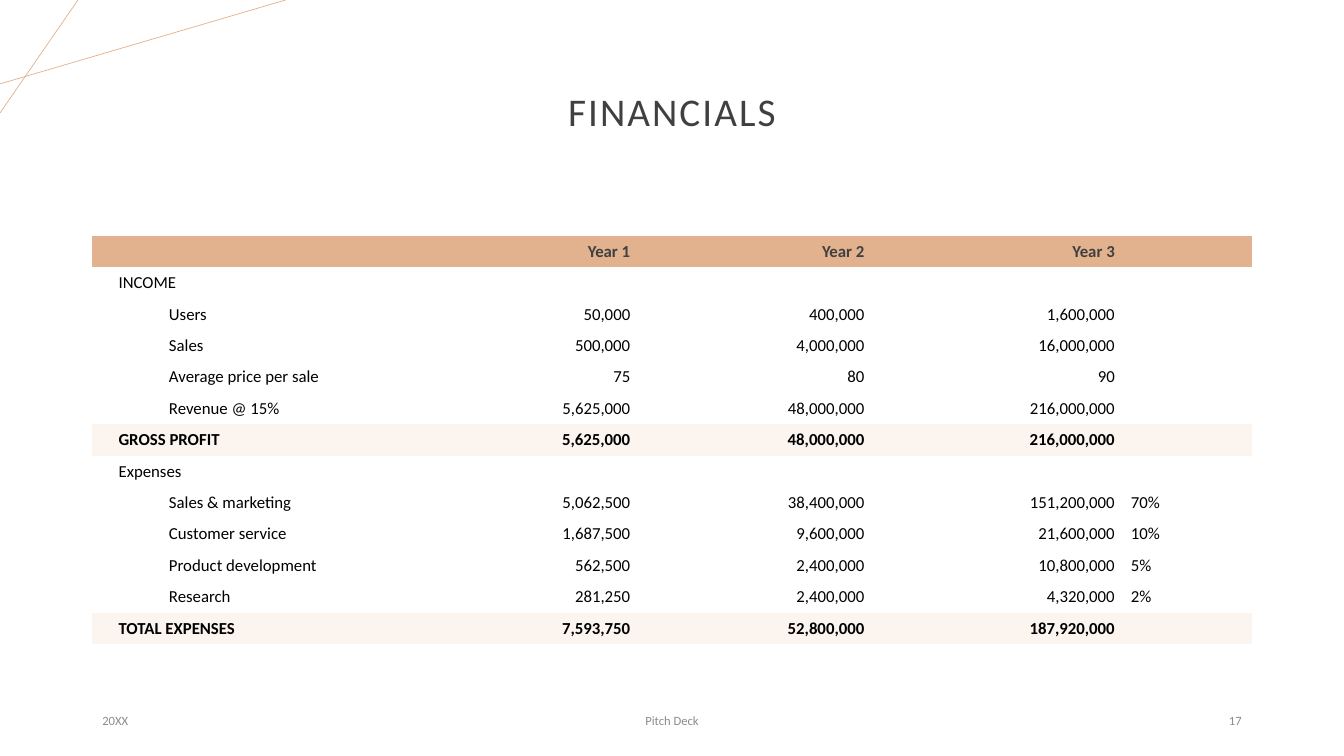
import pptx
import pptx.util
import pptx.dml.color
import pptx.enum.text
import pptx.enum.shapes
import pptx.oxml.ns
import lxml.etree
from dataclasses import dataclass

ALIGN = pptx.enum.text.PP_ALIGN
MIDDLE = pptx.enum.text.MSO_ANCHOR.MIDDLE
WIDTH, HEIGHT = pptx.util.Inches(13.333), pptx.util.Inches(7.5)


@dataclass(frozen=True)
class Theme:
    font: str = "Calibri"
    accent: str = "E2B18D"
    band: str = "FBF4EF"
    heading: str = "404040"
    body: str = "000000"
    muted: str = "8C8C8C"
    title_size: float = 28
    table_size: float = 12
    footer_size: float = 9


THEME = Theme()

# Layout, in percent of the slide's width or height
BODY = 86.25
MARGIN = (100 - BODY) / 2
FOOTER_SIDE, FOOTER_CENTRE = 22.5, 33.75
TABLE_TOP, TABLE_HEIGHT = 31.2, 54
COLUMNS = [30.8, 16.3, 20.2, 21.6, 11.1]  # percent of the table's width

# Row kind, then the cells from the left
ROWS = [
    ("header", "", "Year 1", "Year 2", "Year 3", ""),
    ("section", "INCOME", "", "", "", ""),
    ("item", "Users", "50,000", "400,000", "1,600,000", ""),
    ("item", "Sales", "500,000", "4,000,000", "16,000,000", ""),
    ("item", "Average price per sale", "75", "80", "90", ""),
    ("item", "Revenue @ 15%", "5,625,000", "48,000,000", "216,000,000", ""),
    ("total", "GROSS PROFIT", "5,625,000", "48,000,000", "216,000,000", ""),
    ("section", "Expenses", "", "", "", ""),
    ("item", "Sales & marketing", "5,062,500", "38,400,000", "151,200,000", "70%"),
    ("item", "Customer service", "1,687,500", "9,600,000", "21,600,000", "10%"),
    ("item", "Product development", "562,500", "2,400,000", "10,800,000", "5%"),
    ("item", "Research", "281,250", "2,400,000", "4,320,000", "2%"),
    ("total", "TOTAL EXPENSES", "7,593,750", "52,800,000", "187,920,000", ""),
]
ROW_FILLS = {"header": THEME.accent, "total": THEME.band}
NO_STYLE_NO_GRID = "{2D5ABB26-0587-4C30-8999-92F81FD0307C}"


def across(percent):
    return round(WIDTH * percent / 100)


def down(percent):
    return round(HEIGHT * percent / 100)


def rgb(code):
    return pptx.dml.color.RGBColor.from_string(code)


def apply(target, values):
    for name, value in values.items():
        setattr(target, name, value)


def write(para, text, size, color, align, bold=False, spacing=0):
    para.alignment = align
    if not text:
        # An empty cell keeps the type size, so its row stays low
        end = lxml.etree.SubElement(para._p, pptx.oxml.ns.qn("a:endParaRPr"))
        end.set("sz", str(round(size * 100)))
        return
    span = para.add_run()
    span.text = text
    apply(span.font, {"name": THEME.font, "size": pptx.util.Pt(size), "bold": bold})
    span.font.color.rgb = rgb(color)
    if spacing:
        span.font._element.set("spc", str(round(spacing * 100)))


def add_text(slide, left, top, width, height, text, size, color, align, spacing=0):
    box = slide.shapes.add_textbox(across(left), down(top), across(width), down(height))
    apply(box.text_frame, {"word_wrap": True, "vertical_anchor": MIDDLE})
    para = box.text_frame.paragraphs[0]
    write(para, text, size, color, align, spacing=spacing)
    return para


def add_line(slide, start, end):
    line = slide.shapes.add_connector(
        pptx.enum.shapes.MSO_CONNECTOR.STRAIGHT,
        across(start[0]), down(start[1]), across(end[0]), down(end[1]))
    line.line.color.rgb = rgb(THEME.accent)
    line.line.width = pptx.util.Pt(0.5)
    lxml.etree.SubElement(line._element.spPr, pptx.oxml.ns.qn("a:effectLst"))


def fill_cell(cell, kind, column, text):
    label = column == 0
    apply(cell, {
        "vertical_anchor": MIDDLE,
        "margin_left": pptx.util.Inches(0.26 if label else 0.08),
        "margin_right": pptx.util.Inches(0.08),
        "margin_top": pptx.util.Inches(0.04),
        "margin_bottom": pptx.util.Inches(0.04),
    })
    if kind in ROW_FILLS:
        cell.fill.solid()
        cell.fill.fore_color.rgb = rgb(ROW_FILLS[kind])
    else:
        cell.fill.background()
    para = cell.text_frame.paragraphs[0]
    if label and kind == "item":
        para.level = 1
        indent = para._p.get_or_add_pPr()
        indent.set("marL", str(pptx.util.Inches(0.5)))
        indent.set("indent", "0")
    write(para, text, THEME.table_size,
          THEME.heading if kind == "header" else THEME.body,
          ALIGN.RIGHT if column in (1, 2, 3) else ALIGN.LEFT,
          bold=kind in ROW_FILLS)


def add_financials(slide):
    frame = slide.shapes.add_table(
        len(ROWS), len(COLUMNS), across(MARGIN), down(TABLE_TOP),
        across(BODY), down(TABLE_HEIGHT))
    table = frame.table
    apply(table, {"first_row": False, "horz_banding": False})
    style = table._tbl.tblPr.find(pptx.oxml.ns.qn("a:tableStyleId"))
    style.text = NO_STYLE_NO_GRID
    for column, share in zip(table.columns, COLUMNS):
        column.width = across(BODY * share / 100)
    for row, (kind, *texts) in enumerate(ROWS):
        table.rows[row].height = down(TABLE_HEIGHT / len(ROWS))
        for column, text in enumerate(texts):
            fill_cell(table.cell(row, column), kind, column, text)


def add_footer(slide):
    parts = [
        (MARGIN, FOOTER_SIDE, "20XX", ALIGN.LEFT),
        ((100 - FOOTER_CENTRE) / 2, FOOTER_CENTRE, "Pitch Deck", ALIGN.CENTER),
        (100 - MARGIN - FOOTER_SIDE, FOOTER_SIDE, "17", ALIGN.RIGHT),
    ]
    for left, width, text, align in parts:
        add_text(slide, left, 92.67, width, 5.33, text,
                 THEME.footer_size, THEME.muted, align)


def main():
    deck = pptx.Presentation()
    apply(deck, {"slide_width": WIDTH, "slide_height": HEIGHT})
    slide = deck.slides.add_slide(deck.slide_layouts[6])

    # Corner lines
    add_line(slide, (0, 11.1), (21.25, 0))
    add_line(slide, (5.8, 0), (0, 14.95))

    # Title
    title = add_text(slide, MARGIN, 5.33, BODY, 19.33, "FINANCIALS",
                     THEME.title_size, THEME.heading, ALIGN.CENTER, spacing=1.5)
    title.line_spacing = 0.9

    # Footer and table
    add_footer(slide)
    add_financials(slide)

    deck.save("out.pptx")


main()
